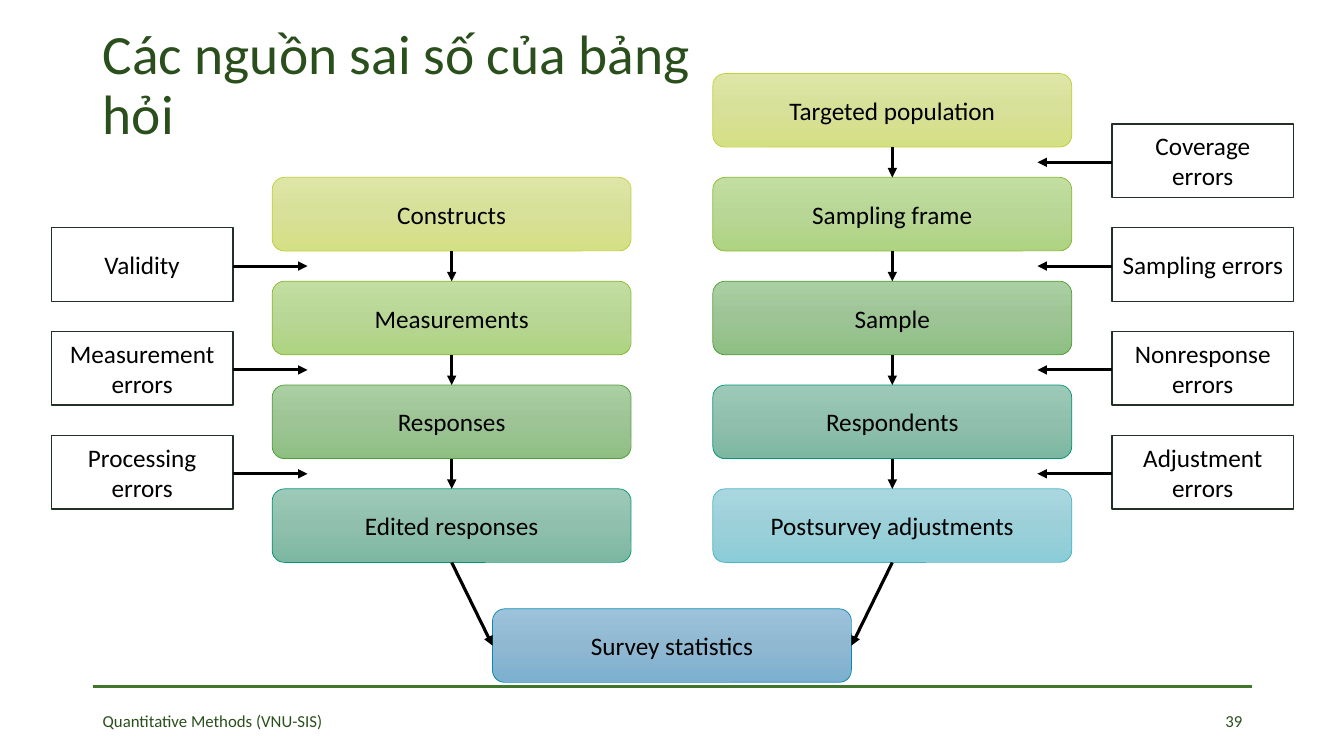
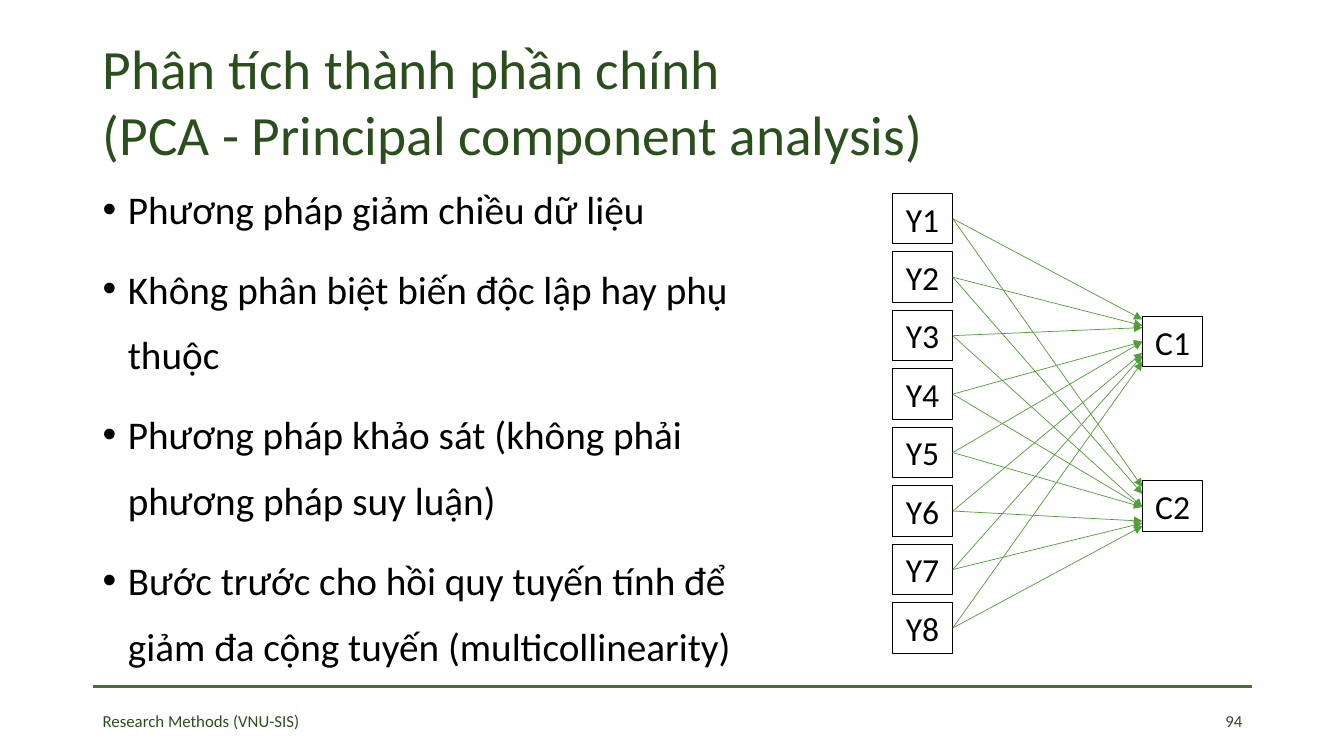
import copy
from dataclasses import dataclass

import pptx
import pptx.dml.color
import pptx.enum.shapes
import pptx.enum.text
import pptx.oxml
import pptx.oxml.ns
import pptx.util

RGBColor = pptx.dml.color.RGBColor
Inches, Pt = pptx.util.Inches, pptx.util.Pt
ALIGN = pptx.enum.text.PP_ALIGN
ANCHOR = pptx.enum.text.MSO_ANCHOR
SHAPE = pptx.enum.shapes.MSO_SHAPE
qn = pptx.oxml.ns.qn

# Shared look
WIDTH, HEIGHT = 13.33, 7.5
MARGIN, RIGHT = 0.92, 12.42
FONT = "Calibri"
BLACK = RGBColor(0x00, 0x00, 0x00)
TITLE_GREEN = RGBColor(0x2A, 0x4F, 0x1C)
RULE_GREEN = RGBColor(0x3F, 0x76, 0x2B)
LINK_GREEN = RGBColor(0x54, 0x9E, 0x39)
ERROR_EDGE = RGBColor(0x22, 0x30, 0x28)


@dataclass(frozen=True)
class Area:
    left: float
    top: float
    width: float
    height: float

    def emu(self) -> list:
        return [Inches(v) for v in (self.left, self.top, self.width, self.height)]


@dataclass(frozen=True)
class Tone:
    stops: tuple[RGBColor, RGBColor, RGBColor]
    edge: RGBColor


def tone(*codes: str) -> Tone:
    *stops, edge = map(RGBColor.from_string, codes)
    return Tone(tuple(stops), edge)


LIME = tone("DDE6A6", "D7E098", "D4E084", "C0CF3A")
LEAF = tone("C2DFA1", "B8D695", "AED481", "8AB833")
GREEN = tone("AACFA2", "9EC496", "8DBF82", "549E39")
TEAL = tone("9DCAB8", "90C0AD", "7CB7A1", "029676")
AQUA = tone("AAD7DF", "9CD0D9", "8ACCD7", "4AB5C4")
BLUE = tone("9DC3DC", "90B8D1", "7CAFCF", "0989B1")

# Flow chart grid
ROW_TOP, ROW_STEP, BOX_H = 0.73, 1.03, 0.73
FLOW_W, ERROR_W = 3.56, 1.8
ERROR_DROP, ARROW_DROP, ARROW_LEN = 0.5, 0.88, 0.74


@dataclass(frozen=True)
class Flow:
    left: float
    first_row: int
    steps: tuple[tuple[str, Tone], ...]
    error_left: float
    errors: tuple[str, ...]


FLOWS = (
    Flow(2.7, 1, (("Constructs", LIME), ("Measurements", LEAF),
                  ("Responses", GREEN), ("Edited responses", TEAL)),
         0.51, ("Validity", "Measurement errors", "Processing\nerrors")),
    Flow(7.07, 0, (("Targeted population", LIME), ("Sampling frame", LEAF),
                   ("Sample", GREEN), ("Respondents", TEAL),
                   ("Postsurvey adjustments", AQUA)),
         11.03, ("Coverage errors", "Sampling errors",
                 "Nonresponse errors", "Adjustment errors")),
)

# Component diagram grid
VAR_LEFT, VAR_TOP, VAR_STEP = 8.85, 1.92, 0.58
COMP_LEFT, NODE_W, NODE_H = 11.33, 0.6, 0.5


@dataclass(frozen=True)
class Component:
    name: str
    top: float
    arrow_drops: tuple[float, ...]


COMPONENTS = (
    Component("C1", 3.14, (0.03, 0.09, 0.11, 0.25, 0.25, 0.36, 0.39, 0.45)),
    Component("C2", 4.77, (0.06, 0.13, 0.26, 0.26, 0.26, 0.4, 0.42, 0.45)),
)


def write(sp, text: str, *, size: float, color: RGBColor = BLACK,
          align=ALIGN.LEFT, anchor=ANCHOR.MIDDLE, spacing: float = 1.0,
          before: float = 0, bullet: bool = False) -> None:
    """Fill a shape with one paragraph per line of text."""
    tf = sp.text_frame
    tf.word_wrap = True
    tf.vertical_anchor = anchor
    for i, line in enumerate(text.split("\n")):
        p = tf.paragraphs[0] if i == 0 else tf.add_paragraph()
        p.text = line
        p.alignment = align
        p.line_spacing = spacing
        p.space_before = Pt(before if i else 0)
        if bullet:
            pPr = p._p.get_or_add_pPr()
            pPr.set("marL", str(Inches(0.25)))
            pPr.set("indent", str(-Inches(0.25)))
            mark = pPr.makeelement(qn("a:buFont"), {"typeface": "Arial"})
            pPr.append(mark)
            pPr.append(pPr.makeelement(qn("a:buChar"), {"char": "•"}))
        for r in p.runs:
            r.font.name, r.font.size = FONT, Pt(size)
            r.font.color.rgb = color


def add_text(s, area: Area, text: str, **fmt) -> None:
    write(s.shapes.add_textbox(*area.emu()), text, **fmt)


def add_box(s, area: Area, text: str, *, edge: RGBColor, weight: float,
            size: float, kind=SHAPE.RECTANGLE, anchor=ANCHOR.MIDDLE):
    sp = s.shapes.add_shape(kind, *area.emu())
    sp.shadow.inherit = False
    sp.fill.background()
    sp.line.color.rgb = edge
    sp.line.width = Pt(weight)
    write(sp, text, size=size, align=ALIGN.CENTER, anchor=anchor)
    return sp


def add_step(s, area: Area, text: str, look: Tone):
    """Rounded box with a three-stop gradient from top to bottom."""
    sp = add_box(s, area, text, edge=look.edge, weight=0.5, size=18,
                 kind=SHAPE.ROUNDED_RECTANGLE)
    sp.fill.gradient()
    sp.fill.gradient_angle = 270
    first = sp._element.spPr.find(".//" + qn("a:gs"))
    first.addnext(copy.deepcopy(first))
    for stop, color, position in zip(sp.fill.gradient_stops, look.stops, (0, 0.5, 1)):
        stop.color.rgb = color
        stop.position = position
    return sp


def add_line(s, x1: float, y1: float, x2: float, y2: float, *,
             color: RGBColor = BLACK, weight: float = 2.25, arrow: bool = True):
    cx = s.shapes.add_connector(pptx.enum.shapes.MSO_CONNECTOR.STRAIGHT,
                                *(Inches(v) for v in (x1, y1, x2, y2)))
    cx.line.color.rgb = color
    cx.line.width = Pt(weight)
    spPr = cx._element.spPr
    if arrow:
        ln = spPr.find(qn("a:ln"))
        ln.append(ln.makeelement(qn("a:tailEnd"), {"type": "triangle"}))
    spPr.append(spPr.makeelement(qn("a:effectLst"), {}))
    return cx


def link(s, start, start_site: int, end, end_site: int) -> None:
    """Arrow glued to connection sites: 0 top, 1 left, 2 bottom, 3 right."""
    cx = add_line(s, 0, 0, 0, 0)
    cx.begin_connect(start, start_site)
    cx.end_connect(end, end_site)


def new_slide(prs, title: str, area: Area, footer: str, number: str,
              spacing: float = 1.0):
    s = prs.slides.add_slide(prs.slide_layouts[6])
    add_line(s, MARGIN, 6.81, RIGHT, 6.81, color=RULE_GREEN, arrow=False)
    add_text(s, area, title, size=39.6, color=TITLE_GREEN, spacing=spacing)
    add_text(s, Area(MARGIN, 6.95, 2.51, 0.4), footer, size=12, color=TITLE_GREEN)
    add_text(s, Area(RIGHT - 3, 6.95, 3, 0.4), number, size=12,
             color=TITLE_GREEN, align=ALIGN.RIGHT)
    return s


def add_flow(s, flow: Flow):
    """Draw a column of steps with its error boxes; return the last step."""
    last = None
    for i, (text, look) in enumerate(flow.steps):
        top = ROW_TOP + (flow.first_row + i) * ROW_STEP
        sp = add_step(s, Area(flow.left, top, FLOW_W, BOX_H), text, look)
        if last is not None:
            link(s, last, 2, sp, 0)
        last = sp
    on_left = flow.error_left < flow.left
    start = flow.error_left + (ERROR_W if on_left else 0)
    end = start + (ARROW_LEN if on_left else -ARROW_LEN)
    for i, text in enumerate(flow.errors):
        top = ROW_TOP + (flow.first_row + i) * ROW_STEP
        add_box(s, Area(flow.error_left, top + ERROR_DROP, ERROR_W, BOX_H), text,
                edge=ERROR_EDGE, weight=1, size=18)
        add_line(s, start, top + ARROW_DROP, end, top + ARROW_DROP)
    return last


def error_sources(prs) -> None:
    s = new_slide(prs, "Các nguồn sai số của bảng hỏi", Area(MARGIN, 0.17, 6.15, 1.38),
                  "Quantitative Methods (VNU-SIS)", "39", spacing=0.9)
    ends = [add_flow(s, flow) for flow in FLOWS]
    result = add_step(s, Area((WIDTH - FLOW_W) / 2, 6.04, FLOW_W, BOX_H),
                      "Survey statistics", BLUE)
    for end, site in zip(ends, (1, 3)):
        link(s, end, 2, result, site)


def add_node(s, left: float, top: float, text: str) -> None:
    add_box(s, Area(left, top, NODE_W, NODE_H), text, edge=BLACK, weight=0.75,
            size=24, anchor=ANCHOR.TOP)


def principal_components(prs) -> None:
    s = new_slide(prs, "Phân tích thành phần chính\v(PCA - Principal component analysis)",
                  Area(MARGIN, 0.4, RIGHT - MARGIN, 1.19),
                  "Research Methods (VNU-SIS)", "94")
    points = (
        "Phương pháp giảm chiều dữ liệu",
        "Không phân biệt biến độc lập hay phụ thuộc",
        "Phương pháp khảo sát (không phải phương pháp suy luận)",
        "Bước trước cho hồi quy tuyến tính để giảm đa cộng tuyến (multicollinearity)",
    )
    add_text(s, Area(MARGIN, 1.6, 7.11, 5.16), "\n".join(points), size=28,
             anchor=ANCHOR.TOP, spacing=1.4, before=10, bullet=True)
    # Variables, components and the arrows between them
    for i in range(8):
        add_node(s, VAR_LEFT, VAR_TOP + i * VAR_STEP, f"Y{i + 1}")
    for comp in COMPONENTS:
        add_node(s, COMP_LEFT, comp.top, comp.name)
        for i, drop in enumerate(comp.arrow_drops):
            add_line(s, VAR_LEFT + NODE_W, VAR_TOP + i * VAR_STEP + NODE_H / 2,
                     COMP_LEFT, comp.top + drop, color=LINK_GREEN, weight=0.5)


def main() -> None:
    prs = pptx.Presentation()
    prs.slide_width, prs.slide_height = Inches(WIDTH), Inches(HEIGHT)
    error_sources(prs)
    principal_components(prs)
    prs.save("out.pptx")


if __name__ == "__main__":
    main()
